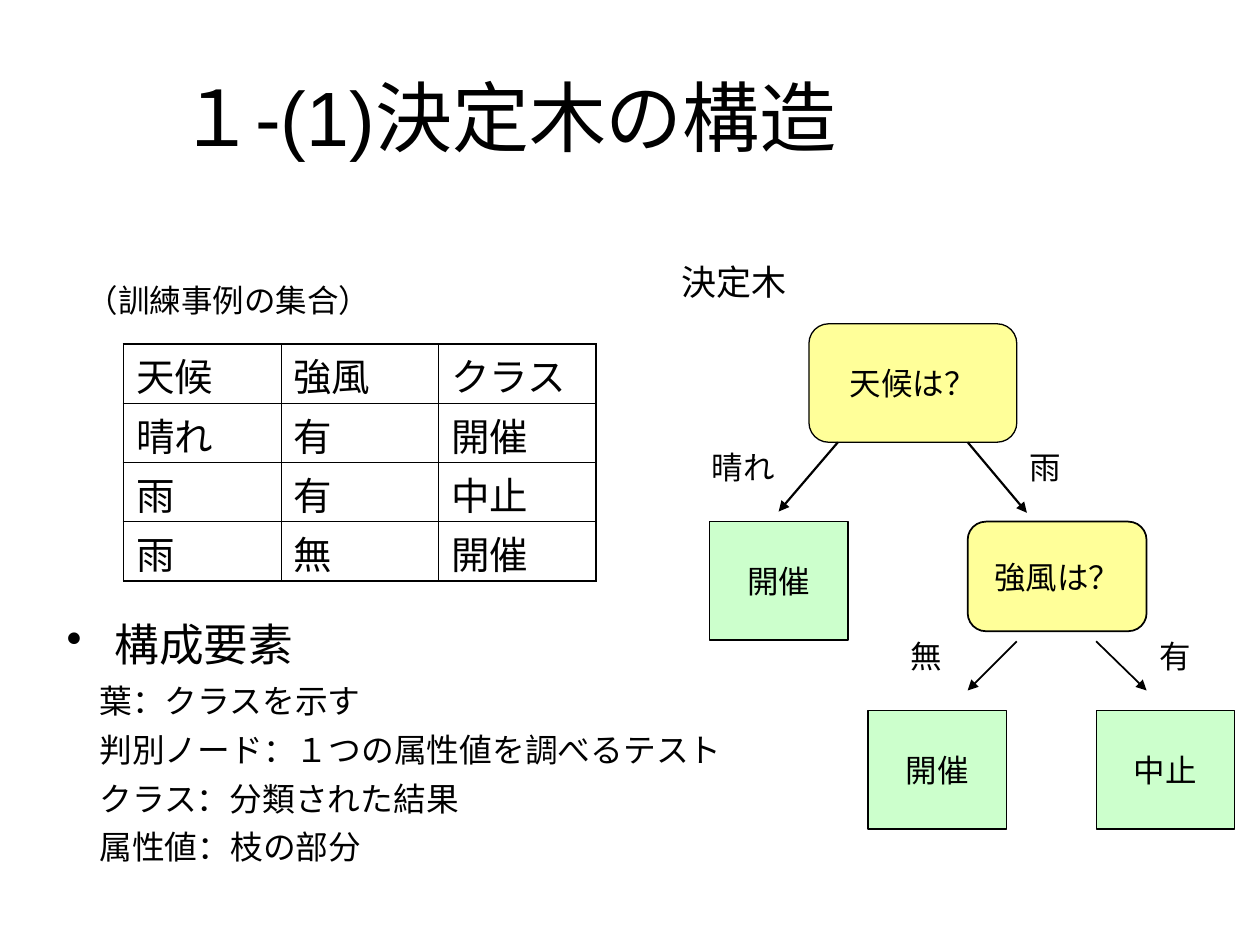
from lxml import etree
from pptx import Presentation
from pptx import util as u
from pptx.dml.color import RGBColor
from pptx.enum import shapes, text
from pptx.oxml import ns

COLORS = {"black": "000000", "node": "FFFF99", "leaf": "CCFFCC"}
FONT = "Arial"


def style(paragraph, size, align=text.PP_ALIGN.LEFT):
    paragraph.alignment = align
    paragraph.font.size = u.Pt(size)
    paragraph.font.name = FONT
    paragraph.font.color.rgb = RGBColor.from_string(COLORS["black"])


def add_element(parent, tag, **attributes):
    return etree.SubElement(parent, ns.qn(tag), attributes)


presentation = Presentation()
presentation.slide_width, presentation.slide_height = u.Inches(10), u.Inches(7.5)
slide = presentation.slides.add_slide(presentation.slide_layouts[5])

title = slide.shapes.title
title.left, title.top = u.Inches(0.5), u.Inches(0.3)
title.width, title.height = u.Inches(7.06), u.Inches(1.24)
title.text_frame.text = "１-(1)決定木の構造"
title.text_frame.vertical_anchor = text.MSO_ANCHOR.MIDDLE
style(title.text_frame.paragraphs[0], 44, text.PP_ALIGN.CENTER)

components = [
    "構成要素",
    "葉：クラスを示す",
    "判別ノード：１つの属性値を調べるテスト",
    "クラス：分類された結果",
    "属性値：枝の部分",
]
body = slide.shapes.add_textbox(u.Inches(0.43), u.Inches(4.85), u.Inches(5.57), u.Inches(2.28))
body.text_frame.word_wrap = True
body.text_frame.text = "\n".join(components)
for index, paragraph in enumerate(body.text_frame.paragraphs):
    properties = paragraph._p.get_or_add_pPr()
    if index == 0:
        properties.set("marL", str(u.Inches(0.38)))
        properties.set("indent", str(u.Inches(-0.38)))
        add_element(properties, "a:buChar", char="•")
        style(paragraph, 25.5)
    else:
        properties.set("marL", str(u.Inches(0.26)))
        paragraph.space_before = u.Pt(5.5)
        style(paragraph, 18.7)

labels = [
    ("（訓練事例の集合）", 0.59, 2.18, 2.54, 0.4, 18),
    ("決定木", 5.31, 2.02, 4.02, 0.44, 20),
    ("晴れ", 5.55, 3.51, 1.02, 0.4, 18),
    ("雨", 8.07, 3.51, 0.87, 0.4, 18),
    ("無", 7.13, 5.01, 0.55, 0.4, 18),
    ("有", 9.1, 5.01, 0.55, 0.4, 18),
]
for words, left, top, width, height, size in labels:
    label = slide.shapes.add_textbox(u.Inches(left), u.Inches(top), u.Inches(width), u.Inches(height))
    label.text_frame.word_wrap = True
    label.text_frame.text = words
    style(label.text_frame.paragraphs[0], size)

examples = [
    ["天候", "強風", "クラス"],
    ["晴れ", "有", "開催"],
    ["雨", "有", "中止"],
    ["雨", "無", "開催"],
]
last_row, last_column = len(examples) - 1, len(examples[0]) - 1
frame = slide.shapes.add_table(
    len(examples), len(examples[0]), u.Inches(0.98), u.Inches(2.73), u.Inches(3.75), u.Inches(1.88)
)
table = frame.table
table.first_row = table.horz_banding = False
for row, values in enumerate(examples):
    table.rows[row].height = u.Inches(0.47)
    for column, value in enumerate(values):
        cell = table.cell(row, column)
        cell.text = value
        cell.vertical_anchor = text.MSO_ANCHOR.BOTTOM
        cell.margin_top = cell.margin_bottom = 0
        style(cell.text_frame.paragraphs[0], 22)
        cell_properties = cell._tc.get_or_add_tcPr()
        outer_edges = {
            "a:lnL": column == 0,
            "a:lnR": column == last_column,
            "a:lnT": row == 0,
            "a:lnB": row == last_row,
        }
        for tag, is_outer in outer_edges.items():
            width = u.Pt(1.08 if is_outer else 0.45)
            border = add_element(cell_properties, tag, w=str(width))
            add_element(add_element(border, "a:solidFill"), "a:srgbClr", val=COLORS["black"])
        cell.fill.background()

RECTANGLE = shapes.MSO_SHAPE.RECTANGLE
ROUNDED = shapes.MSO_SHAPE.ROUNDED_RECTANGLE
tree_nodes = [
    ("天候は？", ROUNDED, "node", 6.42, 2.57, 1.65, 0.94, 0.75),
    ("強風は？", ROUNDED, "node", 7.68, 4.14, 1.42, 0.87, 1),
    ("開催", RECTANGLE, "leaf", 5.63, 4.14, 1.1, 0.94, 0.75),
    ("開催", RECTANGLE, "leaf", 6.89, 5.64, 1.1, 0.94, 0.75),
    ("中止", RECTANGLE, "leaf", 8.7, 5.64, 1.1, 0.94, 0.75),
]
for words, kind, color, left, top, width, height, line_width in tree_nodes:
    shape = slide.shapes.add_shape(kind, u.Inches(left), u.Inches(top), u.Inches(width), u.Inches(height))
    shape.shadow.inherit = False
    shape.fill.solid()
    shape.fill.fore_color.rgb = RGBColor.from_string(COLORS[color])
    shape.line.color.rgb = RGBColor.from_string(COLORS["black"])
    shape.line.width = u.Pt(line_width)
    shape.text_frame.word_wrap = False
    shape.text_frame.vertical_anchor = text.MSO_ANCHOR.MIDDLE
    shape.text_frame.text = words
    style(shape.text_frame.paragraphs[0], 18, text.PP_ALIGN.CENTER)

branches = [
    (6.65, 3.51, 6.18, 4.06, 1.25),
    (7.68, 3.51, 8.15, 4.07, 1.25),
    (8.07, 5.09, 7.68, 5.48, 1),
    (8.7, 5.09, 9.1, 5.48, 1),
]
for start_x, start_y, end_x, end_y, line_width in branches:
    branch = slide.shapes.add_connector(
        shapes.MSO_CONNECTOR.STRAIGHT,
        u.Inches(start_x), u.Inches(start_y), u.Inches(end_x), u.Inches(end_y),
    )
    branch.line.color.rgb = RGBColor.from_string(COLORS["black"])
    branch.line.width = u.Pt(line_width)
    add_element(branch.line._get_or_add_ln(), "a:tailEnd", type="triangle")
    add_element(branch._element.spPr, "a:effectLst")

presentation.save("out.pptx")
